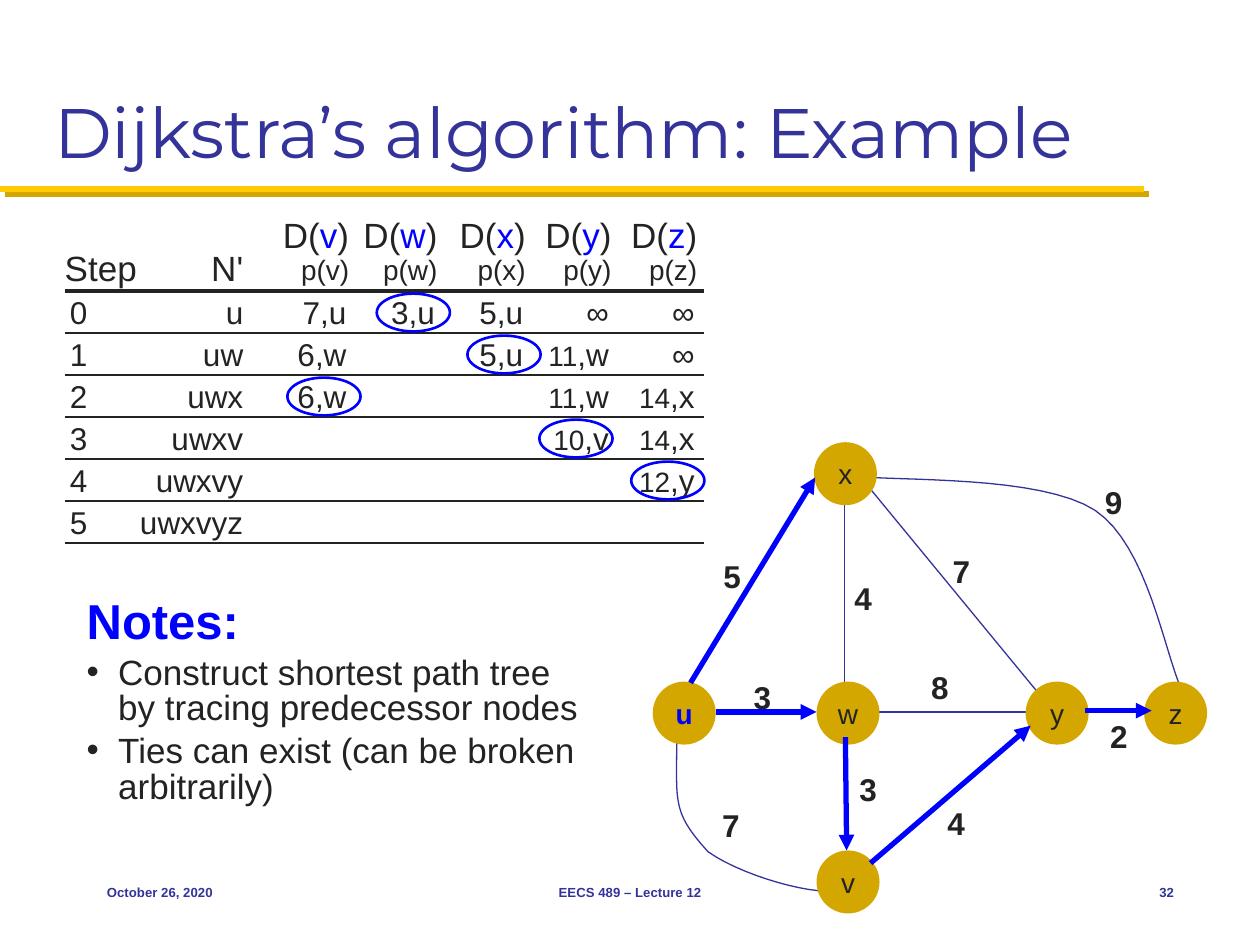
import pptx
import pptx.util
import pptx.dml.color
import pptx.enum.shapes
import pptx.enum.text
import pptx.oxml.ns
from lxml import etree

Pt = pptx.util.Pt
RGBColor = pptx.dml.color.RGBColor
ALIGN = pptx.enum.text.PP_ALIGN
ANCHOR = pptx.enum.text.MSO_ANCHOR
SHAPE = pptx.enum.shapes.MSO_SHAPE
STRAIGHT = pptx.enum.shapes.MSO_CONNECTOR.STRAIGHT
qn = pptx.oxml.ns.qn

NAVY = RGBColor(0x33, 0x33, 0x99)
BLUE = RGBColor(0x00, 0x00, 0xFF)
INK = RGBColor(0x23, 0x23, 0x23)
GOLD = RGBColor(0xD3, 0xA6, 0x00)
YELLOW = RGBColor(0xFF, 0xCB, 0x05)

# ---- Content ----
TITLE = "Dijkstra’s algorithm: Example"
FOOTERS = [  # text, left, width, alignment
    ("October 26, 2020", 54, 150, ALIGN.LEFT),
    ("EECS 489 – Lecture 12", 246, 228, ALIGN.CENTER),
    ("32", 630, 48, ALIGN.RIGHT),
]
NOTES_HEADING = "Notes:"
NOTES = [
    "Construct shortest path tree by tracing predecessor nodes",
    "Ties can exist (can be broken arbitrarily)",
]
TARGETS = "vwxyz"
STEPS = [
    ("0", "u", "7,u", "3,u", "5,u", "∞", "∞"),
    ("1", "uw", "6,w", "", "5,u", "11,w", "∞"),
    ("2", "uwx", "6,w", "", "", "11,w", "14,x"),
    ("3", "uwxv", "", "", "", "10,v", "14,x"),
    ("4", "uwxvy", "", "", "", "", "12,y"),
    ("5", "uwxvyz", "", "", "", "", ""),
]
CHOSEN_LEFTS = [215.3, 267.1, 164.2, 308.2, 360.7]  # one ring per step

NODES = {"x": (465.1, 252.7), "u": (373, 389.5), "z": (653.8, 389.5),
         "v": (466.6, 486), "y": (586.1, 389.5), "w": (466.6, 389.5)}
PLAIN_EDGES = [
    ((482.4, 280.8), (482.4, 393.8)),
    ((489.6, 270), (599.8, 403.9)),
    ((501.1, 406.8), (587.5, 406.8)),
]
CURVED_EDGES = [  # start, then cubic segments of two controls and an end
    ((386.6, 415.4), [((387.4, 457.9), (382.3, 462.2), (404.6, 486.7)),
                      ((427, 502.6), (478.1, 515.5), (484.6, 506.2))]),
    ((489.6, 272.2), [((511.9, 275), (594.7, 271.4), (625.7, 291.6)),
                      ((655.9, 311.8), (665.3, 373), (675.4, 394.6))]),
]
TREE_EDGES = [
    ((619.9, 406.1), (658.1, 406.1)),
    ((497.5, 493.2), (589, 414.7)),
    ((483.1, 421.2), (483.8, 486)),
    ((394.6, 390.2), (465.8, 272.9)),
    ((409, 406.8), (466.6, 406.8)),
]
COSTS = [("3", 423.4, 383.8), ("4", 481, 327.6), ("5", 406.1, 314.6),
         ("3", 483.8, 436.3), ("7", 405.4, 457.2), ("4", 534.2, 455.8),
         ("8", 524.9, 378), ("2", 627.1, 406.1), ("7", 537.1, 311.8),
         ("9", 624.2, 272.2)]

# ---- Table grid ----
TABLE_TOP, HEADER_HEIGHT, ROW_HEIGHT = 118, 48.3, 24
COLUMN_EDGES = [37, 79, 142, 201, 251.5, 301.5, 350.5, 402.5]
TEXT_RIGHTS = [79, 139, 198, 248.5, 299, 348, 397]
NODE_SIZE = 36
CURVE_STEPS = 16

deck = pptx.Presentation()
deck.slide_width, deck.slide_height = Pt(720), Pt(540)
page = deck.slides.add_slide(deck.slide_layouts[6])


def style(para, size, color=INK, bold=False, face="Arial"):
    for span in para.runs:
        span.font.name, span.font.size, span.font.bold = face, Pt(size), bold
        span.font.color.rgb = color


def add_spans(para, *parts):
    for text, size, color in parts:
        span = para.add_run()
        span.text = text
        span.font.name, span.font.size, span.font.bold = "Arial", Pt(size), False
        span.font.color.rgb = color


def add_text(text, left, top, width, height, size, color, align,
             bold=False, face="Arial", anchor=ANCHOR.TOP, wrap=False):
    frame = page.shapes.add_textbox(Pt(left), Pt(top), Pt(width), Pt(height)).text_frame
    frame.word_wrap, frame.vertical_anchor = wrap, anchor
    frame.text = text
    frame.paragraphs[0].alignment = align
    style(frame.paragraphs[0], size, color, bold, face)
    return frame


def add_line(start, end, color, weight, arrow=False):
    line = page.shapes.add_connector(STRAIGHT, *[Pt(n) for n in (*start, *end)])
    line.line.color.rgb, line.line.width = color, Pt(weight)
    properties = line._element.spPr
    if arrow:
        etree.SubElement(properties.find(qn("a:ln")), qn("a:tailEnd"), type="triangle")
    etree.SubElement(properties, qn("a:effectLst"))


def add_ellipse(left, top, width, height):
    oval = page.shapes.add_shape(SHAPE.OVAL, Pt(left), Pt(top), Pt(width), Pt(height))
    oval.shadow.inherit = False
    return oval


def add_curve(start, segments):
    points, origin = [], start
    for first, second, end in segments:
        for step in range(1, CURVE_STEPS + 1):
            t = step / CURVE_STEPS
            weights = ((1 - t) ** 3, 3 * t * (1 - t) ** 2, 3 * t * t * (1 - t), t ** 3)
            points.append(tuple(
                Pt(sum(w * p[axis] for w, p in zip(weights, (origin, first, second, end))))
                for axis in (0, 1)))
        origin = end
    builder = page.shapes.build_freeform(Pt(start[0]), Pt(start[1]))
    builder.add_line_segments(points, close=False)
    curve = builder.convert_to_shape()
    curve.shadow.inherit = False
    curve.fill.background()
    curve.line.color.rgb, curve.line.width = NAVY, Pt(0.75)


def set_borders(cell, top, bottom):
    cell.fill.background()
    properties = cell._tc.get_or_add_tcPr()
    for index, (tag, weight) in enumerate(
            (("lnL", 0), ("lnR", 0), ("lnT", top), ("lnB", bottom))):
        border = etree.Element(qn("a:" + tag), w=str(Pt(weight)))
        if weight:
            fill = etree.SubElement(border, qn("a:solidFill"))
            etree.SubElement(fill, qn("a:srgbClr"), val=str(INK))
        else:
            etree.SubElement(border, qn("a:noFill"))
        properties.insert(index, border)


# ---- Title, rule and footers ----
add_line((3, 111), (656.8, 111), GOLD, 3.5)
add_line((0, 108), (653.8, 108), YELLOW, 3.5)
add_text(TITLE, 23.8, 12.2, 671.8, 90, 40, NAVY, ALIGN.LEFT,
         face="Montserrat", anchor=ANCHOR.BOTTOM, wrap=True)
for text, left, width, align in FOOTERS:
    add_text(text, left, 491.8, width, 36, 7.5, NAVY, align,
             bold=True, anchor=ANCHOR.MIDDLE, wrap=True)

# ---- Step table ----
table = page.shapes.add_table(
    len(STEPS) + 1, len(TEXT_RIGHTS), Pt(COLUMN_EDGES[0]), Pt(TABLE_TOP),
    Pt(COLUMN_EDGES[-1] - COLUMN_EDGES[0]),
    Pt(HEADER_HEIGHT + ROW_HEIGHT * len(STEPS))).table
table.first_row = table.horz_banding = False
for column, (left, right) in enumerate(zip(COLUMN_EDGES, COLUMN_EDGES[1:])):
    table.columns[column].width = Pt(right - left)
for row in range(len(STEPS) + 1):
    table.rows[row].height = Pt(ROW_HEIGHT if row else HEADER_HEIGHT)
    for column, text_right in enumerate(TEXT_RIGHTS):
        cell = table.cell(row, column)
        is_distance_header = row == 0 and column > 1
        cell.margin_left = Pt(3 if row and column == 0 else 0)
        cell.margin_right = Pt(COLUMN_EDGES[column + 1] - text_right
                               - (1.5 if is_distance_header else 0))
        cell.margin_top, cell.margin_bottom = 0, Pt(2.5 if is_distance_header else 1)
        cell.vertical_anchor = ANCHOR.BOTTOM
        set_borders(cell, (0, 2.25)[row] if row < 2 else 1, 1 if row else 2.25)
        frame = cell.text_frame
        para = frame.paragraphs[0]
        if row:
            value = STEPS[row - 1][column]
            number, comma, node = value.partition(",")
            if len(number) == 2 and comma:
                add_spans(para, (number, 16, INK), (comma + node, 18, INK))
            else:
                para.text = value
                style(para, 18)
        elif column < 2:
            para.text = ("Step", "N'")[column]
            style(para, 20)
        else:
            target = TARGETS[column - 2]
            add_spans(para, ("D(", 20, INK), (target, 20, BLUE), (")", 20, INK))
            add_spans(frame.add_paragraph(), (f"p({target})", 16, INK))
        for para in frame.paragraphs:
            para.alignment = ALIGN.RIGHT if column else ALIGN.LEFT

# ---- Rings around the chosen distances ----
for row, left in enumerate(CHOSEN_LEFTS):
    ring = add_ellipse(left, TABLE_TOP + HEADER_HEIGHT + row * ROW_HEIGHT + 1.5, 41.8, 21.6)
    ring.fill.background()
    ring.line.color.rgb, ring.line.width = BLUE, Pt(1.5)

# ---- Notes ----
frame = add_text(NOTES_HEADING, 42.5, 339.1, 300.2, 188.6, 28, BLUE, ALIGN.LEFT,
                 bold=True, wrap=True)
frame.paragraphs[0].line_spacing = 0.85
for note in NOTES:
    para = frame.add_paragraph()
    para.text = note
    para.line_spacing, para.space_before = 0.85, Pt(4)
    properties = para._p.get_or_add_pPr()
    properties.set("marL", str(Pt(18)))
    properties.set("indent", str(-Pt(18)))
    etree.SubElement(properties, qn("a:buFont"), typeface="Arial")
    etree.SubElement(properties, qn("a:buChar"), char="•")
    style(para, 20)

# ---- Network graph ----
for start, end in PLAIN_EDGES:
    add_line(start, end, NAVY, 0.75)
for start, segments in CURVED_EDGES:
    add_curve(start, segments)
for name, (left, top) in NODES.items():
    node = add_ellipse(left, top, NODE_SIZE, NODE_SIZE)
    node.fill.solid()
    node.fill.fore_color.rgb = GOLD
    node.line.fill.background()
    frame = node.text_frame
    frame.word_wrap, frame.vertical_anchor = False, ANCHOR.MIDDLE
    frame.text = name
    frame.paragraphs[0].alignment = ALIGN.CENTER
    is_source = name == "u"
    style(frame.paragraphs[0], 16, BLUE if is_source else INK, is_source)
for start, end in TREE_EDGES:
    add_line(start, end, BLUE, 3, arrow=True)
for cost, left, top in COSTS:
    add_text(cost, left, top, 24.5, 28.8, 18, INK, ALIGN.CENTER, bold=True)

deck.save("out.pptx")
